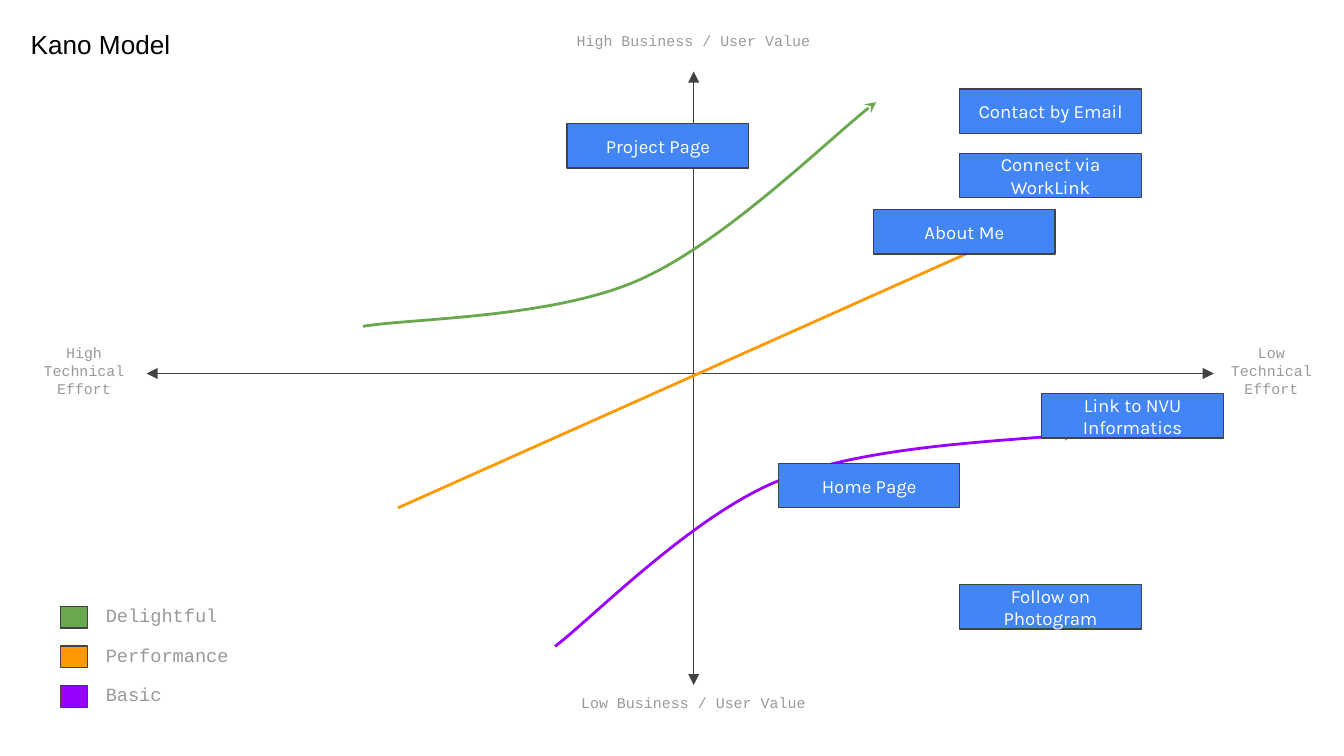
from lxml.etree import SubElement
from pptx import Presentation
from pptx.dml.color import RGBColor
from pptx.enum.shapes import MSO_CONNECTOR, MSO_SHAPE
from pptx.enum.text import MSO_ANCHOR as ANCHOR, PP_ALIGN as ALIGN
from pptx.oxml.ns import qn
from pptx.util import Cm, Pt


def color(value):
    return RGBColor.from_string(value)


class KanoSlide:
    mono, sans, feature_font = "Courier New", "Arial", "Karla"
    gray, dark, blue, white = "999999", "424242", "4285F4", "FFFFFF"
    inset = Cm(0.25)

    def __init__(self, deck):
        self.slide = deck.slides.add_slide(deck.slide_layouts[6])
        self.shapes = self.slide.shapes
        self.slide.background.fill.solid()
        self.slide.background.fill.fore_color.rgb = color(self.white)

    def set_text(self, shape, text, size, font, ink, align, anchor):
        frame = shape.text_frame
        frame.word_wrap = True
        frame.vertical_anchor = anchor
        frame.margin_left = frame.margin_right = self.inset
        frame.margin_top = frame.margin_bottom = self.inset
        frame.text = text
        paragraph = frame.paragraphs[0]
        paragraph.alignment = align
        for run in paragraph.runs:
            run.font.size = Pt(size)
            run.font.name = font
            run.font.color.rgb = color(ink)

    def label(self, text, box, size=8, font=mono, ink=gray,
              align=ALIGN.CENTER, anchor=ANCHOR.TOP):
        shape = self.shapes.add_textbox(*map(Cm, box))
        self.set_text(shape, text, size, font, ink, align, anchor)

    def block(self, box, fill):
        shape = self.shapes.add_shape(MSO_SHAPE.RECTANGLE, *map(Cm, box))
        shape.shadow.inherit = False
        shape.fill.solid()
        shape.fill.fore_color.rgb = color(fill)
        shape.line.color.rgb = color(self.dark)
        shape.line.width = Pt(0.75)
        return shape

    def feature(self, text, left, top):
        shape = self.block((left, top, 3.43, 0.84), self.blue)
        self.set_text(shape, text, 10, self.feature_font, self.white,
                      ALIGN.CENTER, ANCHOR.MIDDLE)

    def stroke(self, shape, ink, width, **arrows):
        shape.line.color.rgb = color(ink)
        shape.line.width = Pt(width)
        outline = shape._element.spPr.find(qn("a:ln"))
        for end, kind in arrows.items():
            SubElement(outline, qn("a:" + end), type=kind)

    def arrow(self, start, end, ink, width, **arrows):
        line = self.shapes.add_connector(
            MSO_CONNECTOR.STRAIGHT, *map(Cm, start + end))
        self.stroke(line, ink, width, **arrows)
        SubElement(line._element.spPr, qn("a:effectLst"))

    def curve(self, points, ink):
        start, *rest = [(Cm(x), Cm(y)) for x, y in points]
        builder = self.shapes.build_freeform(*start)
        builder.add_line_segments(rest, close=False)
        shape = builder.convert_to_shape()
        shape.shadow.inherit = False
        shape.fill.background()
        self.stroke(shape, ink, 1.5, tailEnd="stealth")
        route = shape._element.xpath(".//a:path")[0]
        segments = route.findall(qn("a:lnTo"))
        for first in range(0, len(segments), 3):
            bezier = SubElement(route, qn("a:cubicBezTo"))
            for segment in segments[first:first + 3]:
                bezier.append(segment[0])
                route.remove(segment)


deck = Presentation()
deck.slide_width, deck.slide_height = Cm(25.4), Cm(14.29)
kano = KanoSlide(deck)
green, orange, purple = "6AA84F", "FF9900", "9900FF"

for start, end in [((13.11, 1.35), (13.11, 12.95)), ((22.94, 7.06), (2.77, 7.06))]:
    kano.arrow(start, end, kano.dark, 0.75, headEnd="triangle", tailEnd="triangle")

kano.curve([(6.86, 6.17), (7.72, 6.02), (10.41, 6.02), (12.04, 5.31),
            (13.64, 4.62), (15.8, 2.49), (16.56, 1.93)], green)
kano.curve([(10.49, 12.22), (11.2, 11.68), (13.08, 9.75), (14.71, 9.09),
            (16.36, 8.41), (19.38, 8.33), (20.32, 8.2)], purple)
kano.arrow((7.52, 9.6), (19.33, 4.32), orange, 1.5, tailEnd="triangle")

legend = [("Delightful", green), ("Performance", orange), ("Basic", purple)]
for row, (category, ink) in enumerate(legend):
    offset = row * 0.75
    kano.block((1.14, 11.46 + offset, 0.51, 0.41), ink)
    kano.label(category, (1.75, 11.2 + offset, 4.98, 0.91), size=10, align=ALIGN.LEFT)

for text, top in [("High Business / User Value", 0.43), ("Low Business / User Value", 12.95)]:
    kano.label(text, (10.62, top, 4.98, 0.91))
for text, left, width in [("High Technical Effort", 0.28, 2.62),
                          ("Low Technical Effort", 22.94, 2.18)]:
    kano.label(text, (left, 6.55, width, 0.91), anchor=ANCHOR.MIDDLE)

kano.label("Kano Model", (0.33, 0.28, 3.96, 0.79), size=14, font=kano.sans,
           ink="000000", align=ALIGN.LEFT)

features = [
    ("Contact by Email", 18.14, 1.68),
    ("Connect via WorkLink", 18.14, 2.9),
    ("About Me", 16.51, 3.96),
    ("Project Page", 10.72, 2.34),
    ("Home Page", 14.71, 8.76),
    ("Link to NVU Informatics", 19.69, 7.44),
    ("Follow on Photogram", 18.14, 11.05),
]
for name, left, top in features:
    kano.feature(name, left, top)

deck.save("out.pptx")
